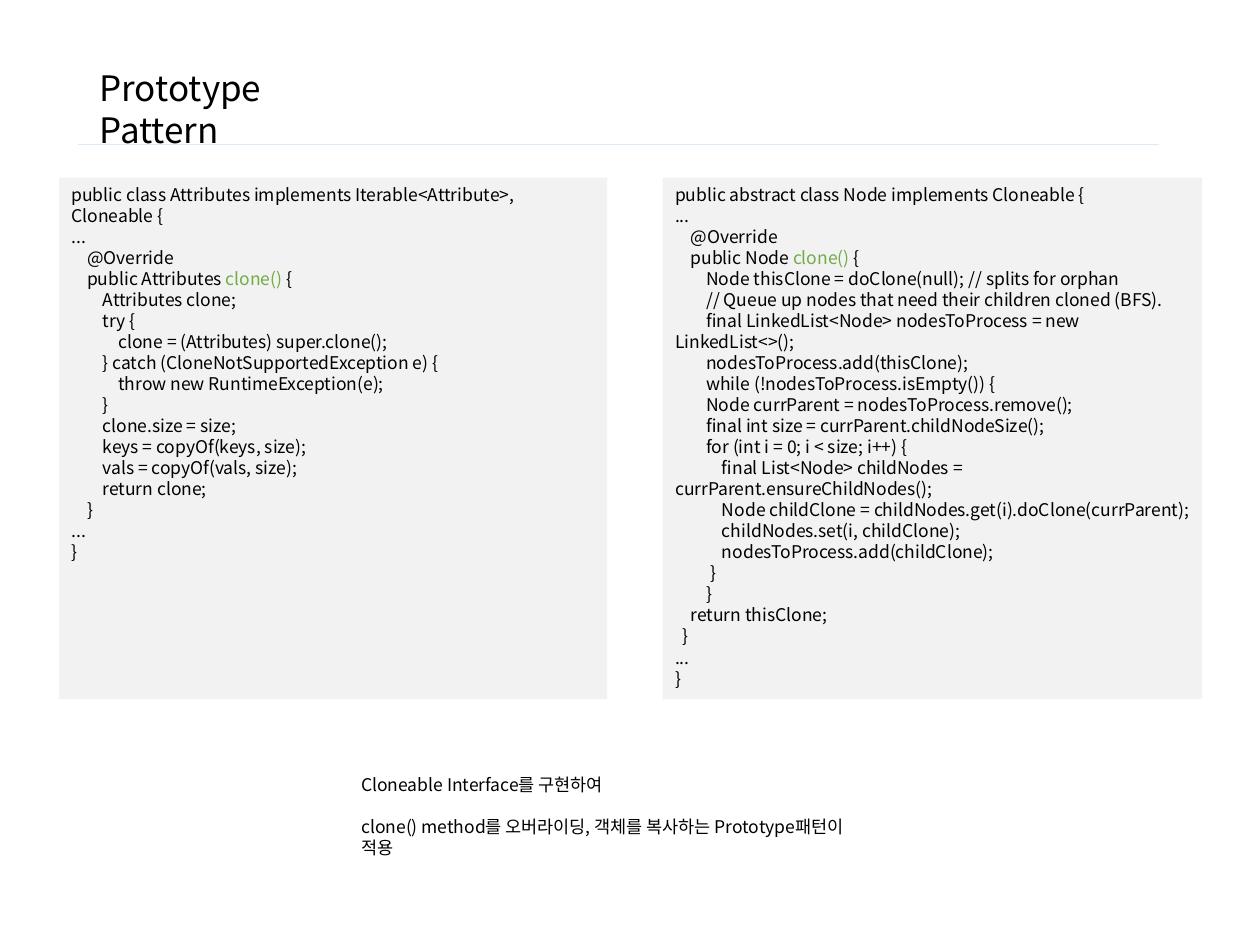
from pptx import Presentation
from pptx import util as u
from pptx.dml.color import RGBColor
from pptx.enum import shapes, text
from lxml import etree

Pt = u.Pt
FONT = "Noto Sans CJK KR"
BLACK = RGBColor(0x00, 0x00, 0x00)
GREEN = RGBColor(0x70, 0xAD, 0x47)
PANEL_GRAY = RGBColor(0xF2, 0xF2, 0xF2)
RULE_BLUE = RGBColor(0xDE, 0xEB, 0xF7)
A = "http://schemas.openxmlformats.org/drawingml/2006/main"

# Content
TITLE = "Prototype Pattern"
HIGHLIGHT = "clone()"
ATTRIBUTES_CODE = """\
public class Attributes implements Iterable<Attribute>, Cloneable {
...
    @Override
    public Attributes clone() {
        Attributes clone;
        try {
            clone = (Attributes) super.clone();
        } catch (CloneNotSupportedException e) {
            throw new RuntimeException(e);
        }
        clone.size = size;
        keys = copyOf(keys, size);
        vals = copyOf(vals, size);
        return clone;
    }
...
}"""
NODE_CODE = """\
public abstract class Node implements Cloneable {
...
    @Override
    public Node clone() {
        Node thisClone = doClone(null); // splits for orphan
        // Queue up nodes that need their children cloned (BFS).
        final LinkedList<Node> nodesToProcess = new LinkedList<>();
        nodesToProcess.add(thisClone);
        while (!nodesToProcess.isEmpty()) {
        Node currParent = nodesToProcess.remove();
        final int size = currParent.childNodeSize();
        for (int i = 0; i < size; i++) {
            final List<Node> childNodes = currParent.ensureChildNodes();
            Node childClone = childNodes.get(i).doClone(currParent);
            childNodes.set(i, childClone);
            nodesToProcess.add(childClone);
         }
        }
    return thisClone;
  }
...
}"""
CAPTION = [
    "Cloneable Interface를 구현하여",
    "clone() method를 오버라이딩, 객체를 복사하는 Prototype패턴이 적용",
]

# Layout: left, top, width, height
TITLE_BOX = (49.7, 34.6, 176.4, 31.7)
CAPTION_BOX = (199.4, 438.5, 308.2, 43.9)
PANEL_TOP, PANEL_HEIGHT = 101.5, 298.1
PANELS = [(33.8, 313.2, ATTRIBUTES_CODE), (378.7, 308.2, NODE_CODE)]
RULE = (44.6, 82.8, 662.4, 82.8)


def points(values):
    return [Pt(value) for value in values]


def format_frame(frame):
    settings = {
        "word_wrap": True, "vertical_anchor": text.MSO_ANCHOR.TOP,
        "auto_size": text.MSO_AUTO_SIZE.NONE,
        "margin_left": Pt(7.2), "margin_right": Pt(7.2),
        "margin_top": Pt(3.6), "margin_bottom": Pt(3.6),
    }
    for name, value in settings.items():
        setattr(frame, name, value)


def add_run(paragraph, words, size, color=BLACK):
    run = paragraph.add_run()
    run.text = words
    for name, value in {"name": FONT, "size": Pt(size), "bold": False}.items():
        setattr(run.font, name, value)
    run.font.color.rgb = color
    east_asian = etree.SubElement(run.font._element, f"{{{A}}}ea")
    east_asian.set("typeface", FONT)


def write_lines(frame, lines, size, gap=0, highlight=None):
    format_frame(frame)
    for index, line in enumerate(lines):
        paragraph = frame.add_paragraph() if index else frame.paragraphs[0]
        paragraph.alignment = text.PP_ALIGN.LEFT
        paragraph.space_before = Pt(gap if index else 0)
        paragraph.line_spacing = 1.0
        # Only the overridden method's declaration is coloured
        if highlight and line.endswith(f" {highlight} {{"):
            before, after = line.split(highlight)
            add_run(paragraph, before, size)
            add_run(paragraph, highlight, size, GREEN)
            add_run(paragraph, after, size)
        else:
            add_run(paragraph, line, size)


def main():
    presentation = Presentation()
    presentation.slide_width, presentation.slide_height = Pt(720), Pt(540)
    slide = presentation.slides.add_slide(presentation.slide_layouts[5])

    # Rule under the title
    rule = slide.shapes.add_connector(shapes.MSO_CONNECTOR.STRAIGHT, *points(RULE))
    rule.line.color.rgb = RULE_BLUE
    rule.line.width = Pt(0.5)
    etree.SubElement(rule._element.spPr, f"{{{A}}}effectLst")

    # Title
    title = slide.shapes.title
    title.left, title.top, title.width, title.height = points(TITLE_BOX)
    write_lines(title.text_frame, [TITLE], 20)

    # Caption
    caption = slide.shapes.add_textbox(*points(CAPTION_BOX))
    write_lines(caption.text_frame, CAPTION, 10, gap=12)

    # Code panels
    for left, width, code in PANELS:
        panel = slide.shapes.add_shape(
            shapes.MSO_SHAPE.RECTANGLE,
            *points((left, PANEL_TOP, width, PANEL_HEIGHT)))
        panel.shadow.inherit = False
        panel.fill.solid()
        panel.fill.fore_color.rgb = PANEL_GRAY
        panel.line.fill.background()
        write_lines(panel.text_frame, code.split("\n"), 10, highlight=HIGHLIGHT)

    presentation.save("out.pptx")


if __name__ == "__main__":
    main()
